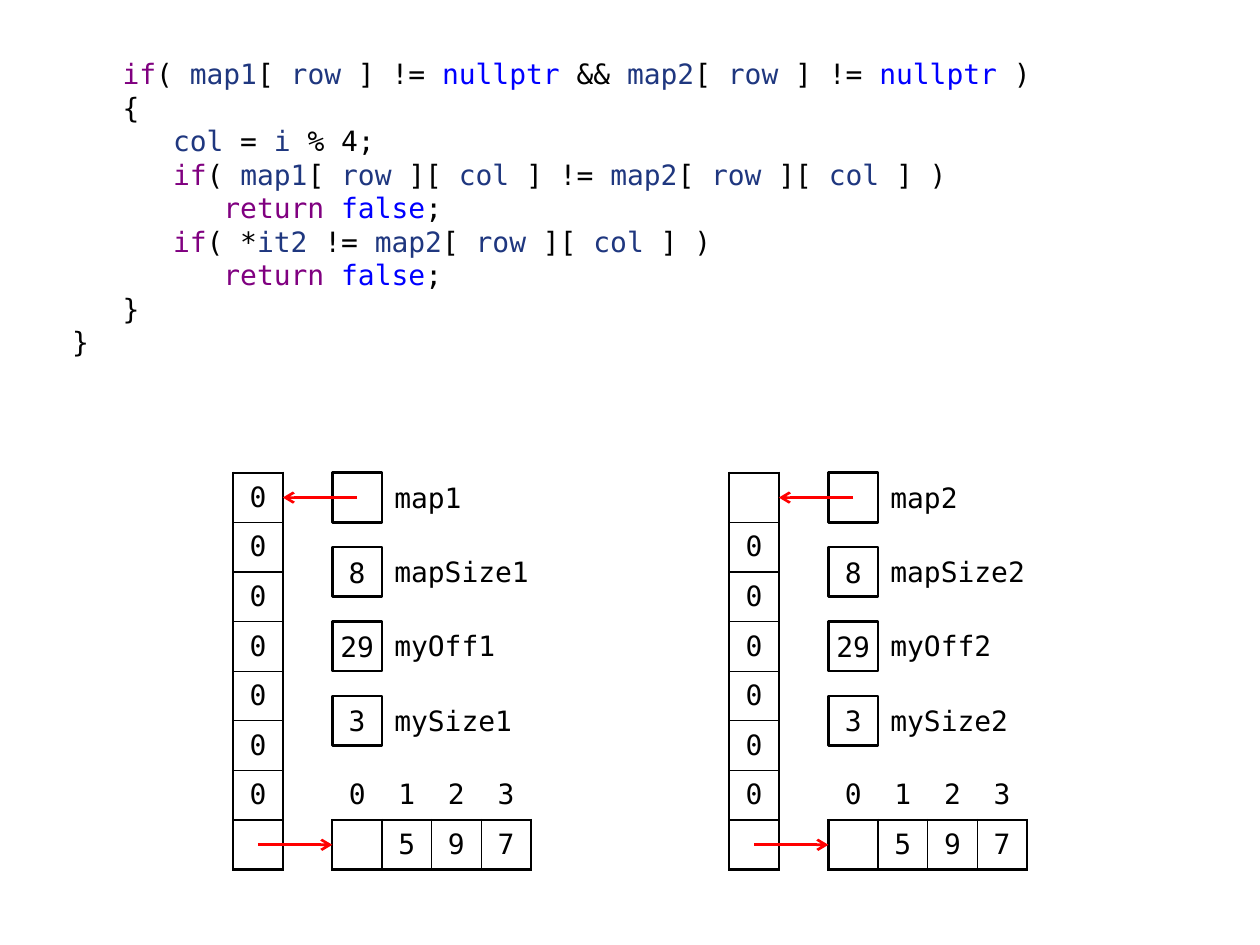
from itertools import groupby

from lxml.etree import SubElement
from pptx import Presentation
from pptx.dml.color import RGBColor
from pptx.enum.shapes import MSO_CONNECTOR, MSO_SHAPE
from pptx.enum.text import MSO_ANCHOR, MSO_AUTO_SIZE, PP_ALIGN
from pptx.oxml.ns import qn
from pptx.util import Cm, Pt

CODE = """\
   if( map1[ row ] != nullptr && map2[ row ] != nullptr )
   {
      col = i % 4;
      if( map1[ row ][ col ] != map2[ row ][ col ] )
         return false;
      if( *it2 != map2[ row ][ col ] )
         return false;
   }
}"""

BLACK, WHITE, RED = "000000", "FFFFFF", "FF0000"
TOKEN_COLORS = {
    **dict.fromkeys(("if", "return"), "800080"),
    **dict.fromkeys(("nullptr", "false"), "0000FF"),
    **dict.fromkeys(("map1", "map2", "row", "col", "i", "it2"), "1F377F"),
}
CELL = 1  # side of every square, in cm
MAP_TOP = 9.53


def rgb(hex_color):
    return RGBColor.from_string(hex_color)


class SlideBuilder:
    font_name = "DejaVu Sans Mono"
    font_size = Pt(16)
    thick, thin = Pt(1.5), Pt(0.75)

    def __init__(self, slide):
        self.slide = slide

    def run(self, paragraph, text, color=BLACK):
        run = paragraph.add_run()
        run.text = text
        run.font.name = self.font_name
        run.font.size = self.font_size
        run.font.color.rgb = rgb(color)

    def code(self, source, left, top, width, height):
        """Fill the body placeholder with coloured source code."""
        body = self.slide.placeholders[1]
        body.left, body.top = Cm(left), Cm(top)
        body.width, body.height = Cm(width), Cm(height)
        frame = body.text_frame
        frame.word_wrap = True
        frame.auto_size = MSO_AUTO_SIZE.NONE
        for index, line in enumerate(source.splitlines()):
            paragraph = frame.add_paragraph() if index else frame.paragraphs[0]
            properties = paragraph._p.get_or_add_pPr()
            properties.set("marL", "0")
            properties.set("indent", "0")
            SubElement(properties, qn("a:buNone"))
            paragraph.space_before = Pt(0)
            paragraph.line_spacing = Pt(19.15)
            for _, characters in groupby(line, key=str.isalnum):
                token = "".join(characters)
                self.run(paragraph, token, TOKEN_COLORS.get(token, BLACK))

    def border(self, cell, sides):
        """Draw the given sides, a dict of L, R, T, B to line widths."""
        properties = cell._tc.get_or_add_tcPr()
        for side in "LRTB":
            if side in sides:
                line = SubElement(properties, qn(f"a:ln{side}"), w=str(sides[side]))
                fill = SubElement(line, qn("a:solidFill"))
                SubElement(fill, qn("a:srgbClr"), val=BLACK)

    def grid(self, rows, left, top, header=False):
        """Add a table of square cells; a header row stays outside the frame."""
        row_count, column_count = len(rows), len(rows[0])
        table = self.slide.shapes.add_table(
            row_count, column_count, Cm(left), Cm(top),
            Cm(CELL * column_count), Cm(CELL * row_count)).table
        table.first_row = table.horz_banding = False
        for r, row in enumerate(rows):
            for c, text in enumerate(row):
                cell = table.cell(r, c)
                cell.margin_left = cell.margin_right = Cm(0.1)
                cell.margin_top = cell.margin_bottom = Cm(0.1)
                cell.vertical_anchor = MSO_ANCHOR.MIDDLE
                if text:
                    paragraph = cell.text_frame.paragraphs[0]
                    paragraph.alignment = PP_ALIGN.CENTER
                    self.run(paragraph, text)
                if header and r == 0:
                    sides = {"B": self.thick}
                else:
                    on_edge = {"L": c == 0, "R": c == column_count - 1,
                               "T": r == int(header), "B": r == row_count - 1}
                    sides = {side: self.thick if edge else self.thin
                             for side, edge in on_edge.items()}
                self.border(cell, sides)
                cell.fill.solid()
                cell.fill.fore_color.rgb = rgb(WHITE)

    def box(self, text, left, top):
        shape = self.slide.shapes.add_shape(
            MSO_SHAPE.RECTANGLE, Cm(left), Cm(top), Cm(CELL), Cm(CELL))
        shape.shadow.inherit = False
        shape.fill.solid()
        shape.fill.fore_color.rgb = rgb(WHITE)
        shape.line.color.rgb = rgb(BLACK)
        shape.line.width = self.thick
        if text:
            frame = shape.text_frame
            frame.margin_left = frame.margin_right = Cm(0.1)
            frame.vertical_anchor = MSO_ANCHOR.MIDDLE
            frame.paragraphs[0].alignment = PP_ALIGN.CENTER
            self.run(frame.paragraphs[0], text)

    def label(self, text, left, top):
        shape = self.slide.shapes.add_textbox(Cm(left), Cm(top), Cm(3), Cm(CELL))
        frame = shape.text_frame
        frame.word_wrap = True
        frame.margin_left, frame.margin_top = Cm(0.25), Cm(0.15)
        frame.margin_right = frame.margin_bottom = 0
        self.run(frame.paragraphs[0], text)

    def arrow(self, start, end, y):
        connector = self.slide.shapes.add_connector(
            MSO_CONNECTOR.STRAIGHT, Cm(start), Cm(y), Cm(end), Cm(y))
        connector.line.color.rgb = rgb(RED)
        connector.line.width = self.thick
        SubElement(connector.line._get_or_add_ln(), qn("a:tailEnd"), type="arrow")
        SubElement(connector._element.spPr, qn("a:effectLst"))

    def deque(self, number, left, first_map_entry):
        """Draw one deque: its map, its members and its only block."""
        members = left + 2 * CELL
        self.grid([[first_map_entry]] + [["0"]] * 6 + [[""]], left, MAP_TOP)
        self.grid(["0123", ["", "5", "9", "7"]], members, MAP_TOP + 6 * CELL,
                  header=True)
        fields = (("map", ""), ("mapSize", "8"), ("myOff", "29"), ("mySize", "3"))
        for index, (name, value) in enumerate(fields):
            top = MAP_TOP + 1.5 * CELL * index
            self.box(value, members, top)
            self.label(f"{name}{number}", members + CELL, top)
        self.arrow(members + CELL / 2, left + CELL, MAP_TOP + CELL / 2)
        self.arrow(left + CELL / 2, members, MAP_TOP + 7.5 * CELL)


def main():
    presentation = Presentation()
    presentation.slide_width, presentation.slide_height = Cm(25.4), Cm(19.05)
    slide = presentation.slides.add_slide(presentation.slide_layouts[1])
    title = slide.shapes.title._element
    title.getparent().remove(title)

    builder = SlideBuilder(slide)
    builder.code(CODE, 1.2, 1.02, 20, 6.5)
    builder.deque(1, 4.7, "0")
    builder.deque(2, 14.7, "")
    presentation.save("out.pptx")


if __name__ == "__main__":
    main()
